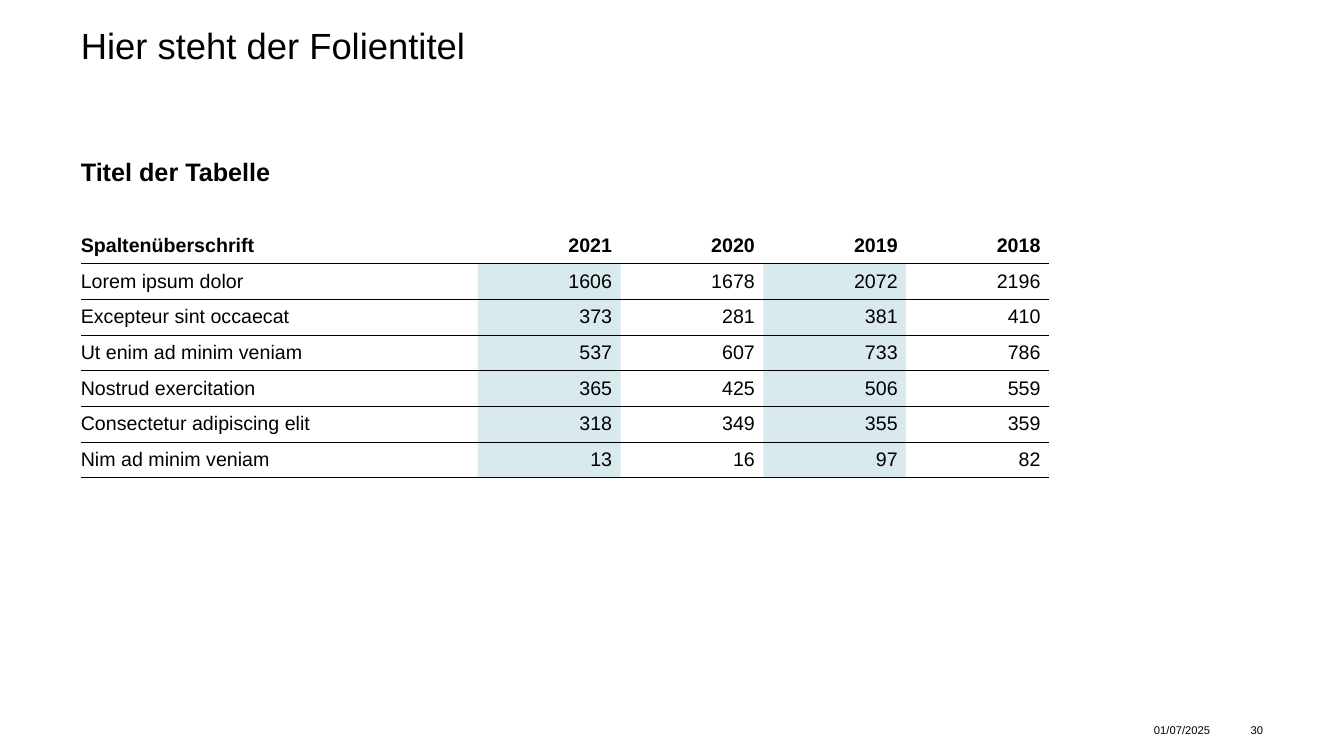
from lxml.etree import SubElement
from pptx import Presentation
from pptx.dml.color import RGBColor
from pptx.enum.text import MSO_ANCHOR, MSO_AUTO_SIZE, PP_ALIGN
from pptx.oxml.ns import qn
from pptx.util import Emu, Pt

EMU_PER_PX = 9525
BLACK = "000000"
WHITE = "FFFFFF"
TEAL = "007894"
TEAL_OPACITY = 15

COLUMN_WIDTHS = [378] + [136] * 4
ROW_HEIGHT = 34
SHADED_COLUMNS = (1, 3)
TABLE_ROWS = [
    ("Spaltenüberschrift", "2021", "2020", "2019", "2018"),
    ("Lorem ipsum dolor", "1606", "1678", "2072", "2196"),
    ("Excepteur sint occaecat", "373", "281", "381", "410"),
    ("Ut enim ad minim veniam", "537", "607", "733", "786"),
    ("Nostrud exercitation", "365", "425", "506", "559"),
    ("Consectetur adipiscing elit", "318", "349", "355", "359"),
    ("Nim ad minim veniam", "13", "16", "97", "82"),
]


def px(length):
    return Emu(length * EMU_PER_PX)


def color(hex_string):
    return RGBColor.from_string(hex_string)


def write(text_frame, text, size, bold=False, align=PP_ALIGN.LEFT, line_spacing=1.0):
    paragraph = text_frame.paragraphs[0]
    paragraph.alignment = align
    paragraph.line_spacing = line_spacing
    paragraph.space_before = Pt(0)
    run = paragraph.add_run()
    run.text = text
    run.font.name = "Arial"
    run.font.size = Pt(size)
    run.font.bold = bold
    run.font.color.rgb = color(BLACK)


def place(shape, left, top, width, height, anchor=MSO_ANCHOR.TOP):
    """Position a text shape and return its text frame without insets."""
    shape.left, shape.top = px(left), px(top)
    shape.width, shape.height = px(width), px(height)
    text_frame = shape.text_frame
    text_frame.word_wrap = True
    text_frame.auto_size = MSO_AUTO_SIZE.NONE
    text_frame.vertical_anchor = anchor
    text_frame.margin_left = text_frame.margin_right = 0
    text_frame.margin_top = text_frame.margin_bottom = 0
    return text_frame


def remove_bullet(paragraph):
    properties = paragraph._p.get_or_add_pPr()
    properties.set("marL", "0")
    properties.set("indent", "0")
    SubElement(properties, qn("a:buNone"))


def add_footer(slide, text, left, width, align):
    shape = slide.shapes.add_textbox(0, 0, 0, 0)
    text_frame = place(shape, left, 684, width, 23, MSO_ANCHOR.MIDDLE)
    write(text_frame, text, 8, align=align)


def set_borders(cell, top, bottom):
    """Draw black rules of the given point widths; zero means no rule."""
    properties = cell._tc.get_or_add_tcPr()
    for side, width in (("L", 0), ("R", 0), ("T", top), ("B", bottom)):
        line = SubElement(properties, qn(f"a:ln{side}"), w=str(int(Pt(width))))
        if width:
            fill = SubElement(line, qn("a:solidFill"))
            SubElement(fill, qn("a:srgbClr"), val=BLACK)
        else:
            SubElement(line, qn("a:noFill"))


def fill_cell(cell, hex_string, opacity=100):
    cell.fill.solid()
    cell.fill.fore_color.rgb = color(hex_string)
    if opacity < 100:
        rgb = cell._tc.tcPr.find(f"{qn('a:solidFill')}/{qn('a:srgbClr')}")
        SubElement(rgb, qn("a:alpha"), val=str(opacity * 1000))


def format_cell(cell, text, row, column):
    cell.margin_left = cell.margin_top = cell.margin_bottom = 0
    cell.margin_right = px(8)
    cell.vertical_anchor = MSO_ANCHOR.MIDDLE
    align = PP_ALIGN.RIGHT if column else PP_ALIGN.LEFT
    write(cell.text_frame, text, 14, bold=row == 0, align=align)
    rules = [0, 1] + [0.5] * (len(TABLE_ROWS) - 1)
    set_borders(cell, rules[row], rules[row + 1])
    if row == 0:
        cell.fill.background()
    elif column in SHADED_COLUMNS:
        fill_cell(cell, TEAL, TEAL_OPACITY)
    else:
        fill_cell(cell, WHITE)


def add_figures_table(slide, left, top):
    row_count = len(TABLE_ROWS)
    table = slide.shapes.add_table(
        row_count, len(COLUMN_WIDTHS), px(left), px(top),
        px(sum(COLUMN_WIDTHS)), px(row_count * ROW_HEIGHT),
    ).table
    table.horz_banding = False
    for column, width in zip(table.columns, COLUMN_WIDTHS):
        column.width = px(width)
    for row, texts in enumerate(TABLE_ROWS):
        table.rows[row].height = px(ROW_HEIGHT)
        for column, text in enumerate(texts):
            format_cell(table.cell(row, column), text, row, column)


def main():
    presentation = Presentation()
    presentation.slide_width, presentation.slide_height = px(1280), px(720)
    slide = presentation.slides.add_slide(presentation.slide_layouts[1])

    title = place(slide.shapes.title, 77, 27, 1126, 94)
    write(title, "Hier steht der Folientitel", 26, line_spacing=0.9)

    table_title = place(slide.placeholders[1], 77, 149, 1126, 41)
    remove_bullet(table_title.paragraphs[0])
    write(table_title, "Titel der Tabelle", 18, bold=True)

    add_figures_table(slide, 77, 217)
    add_footer(slide, "01/07/2025", 1099, 64, PP_ALIGN.LEFT)
    add_footer(slide, "30", 1169, 34, PP_ALIGN.RIGHT)
    presentation.save("out.pptx")


if __name__ == "__main__":
    main()
